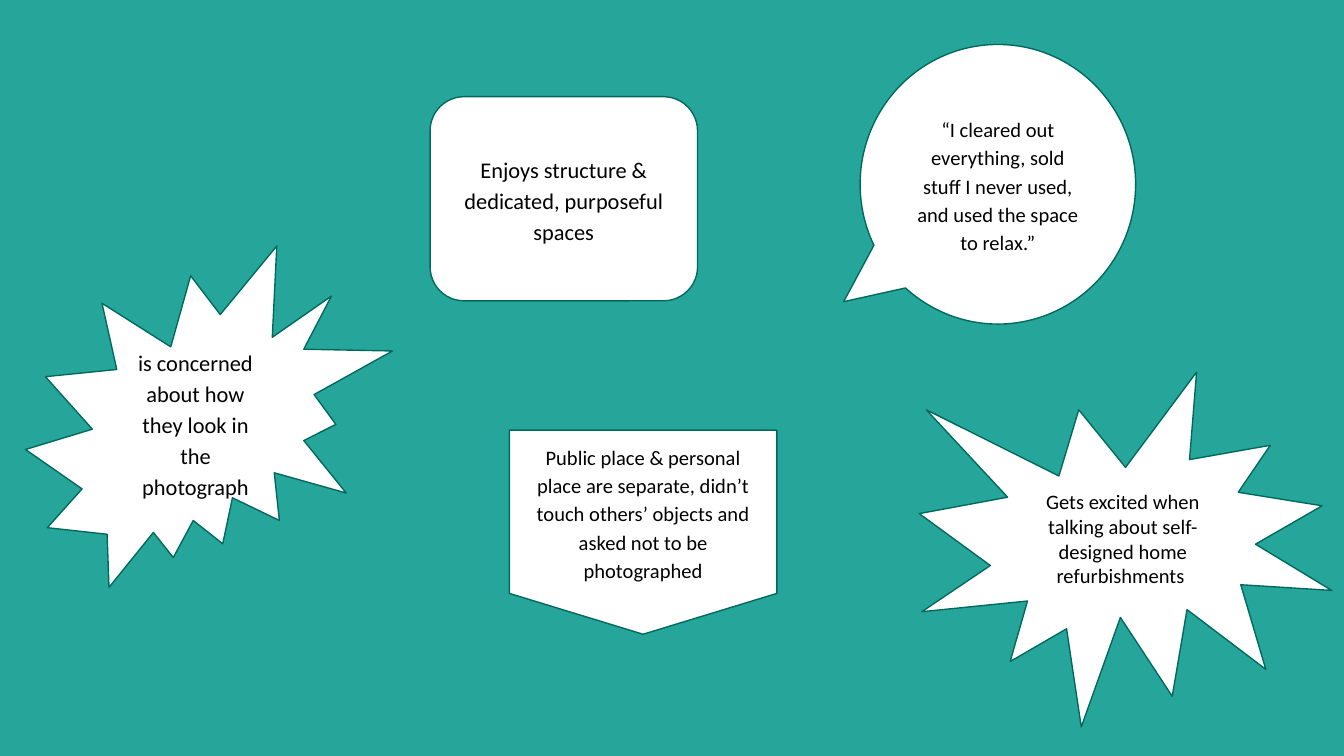
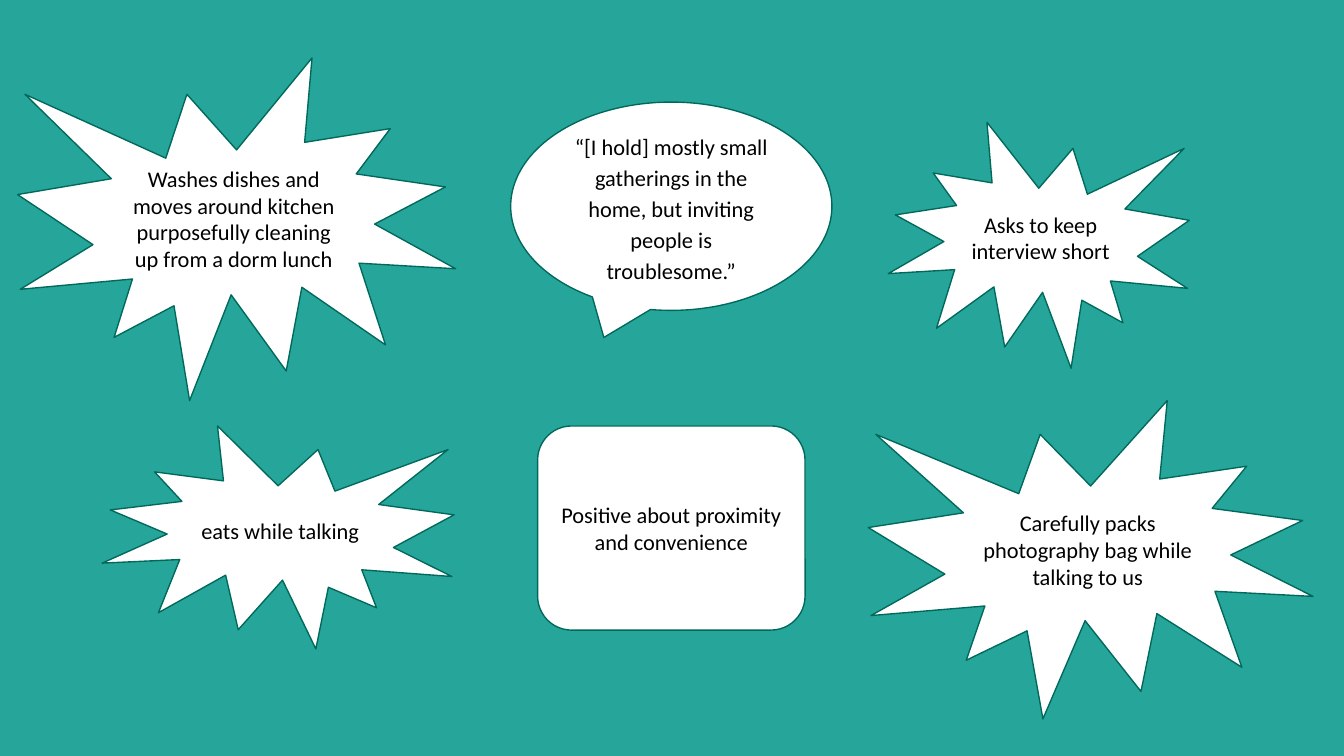
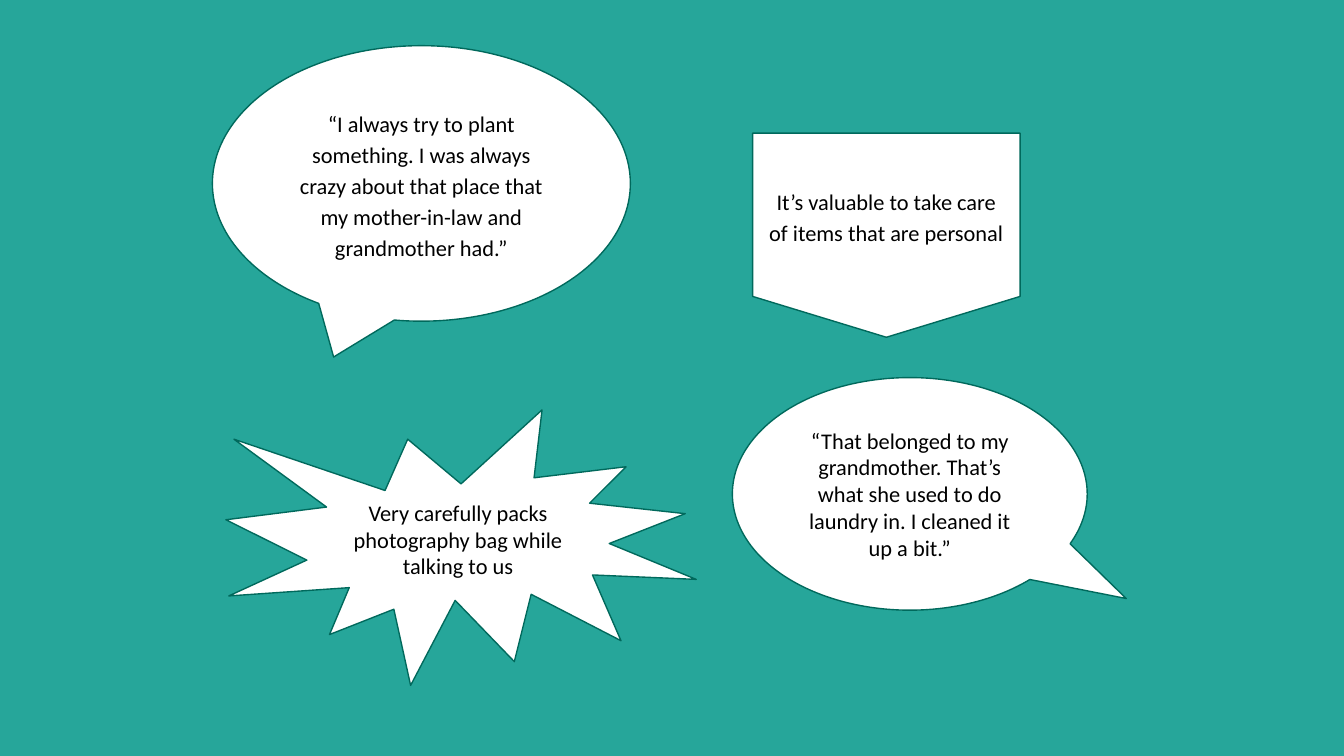
import pptx
import pptx.util
import pptx.dml.color
import pptx.enum.shapes
import pptx.enum.text

Pt = pptx.util.Pt
SHAPES = pptx.enum.shapes.MSO_SHAPE

COLORS = {"background": "26A69A", "note": "FFFFFF", "outline": "00695C", "text": "000000"}
FONT = "Calibri"
INSET = 7.2
CARD_SIZE = (143.3, 109.4)
LOOSE = 1.15


def color(name):
    return pptx.dml.color.RGBColor.from_string(COLORS[name])


def add_note(slide, kind, box, text, size=12, spacing=None):
    note = slide.shapes.add_shape(kind, *(Pt(length) for length in box))
    note.shadow.inherit = False
    note.fill.solid()
    note.fill.fore_color.rgb = color("note")
    note.line.color.rgb = color("outline")
    note.line.width = Pt(0.75)

    frame = note.text_frame
    frame.word_wrap = True
    frame.vertical_anchor = pptx.enum.text.MSO_ANCHOR.MIDDLE
    frame.margin_left = frame.margin_right = Pt(INSET)
    frame.margin_top = frame.margin_bottom = Pt(INSET)
    frame.text = text
    paragraph = frame.paragraphs[0]
    paragraph.alignment = pptx.enum.text.PP_ALIGN.CENTER
    if spacing:
        paragraph.line_spacing = spacing
    for run in paragraph.runs:
        run.font.name = FONT
        run.font.size = Pt(size)
        run.font.color.rgb = color("text")
    return note


def add_burst(slide, box, text, size=12, mirrored=False):
    burst = add_note(slide, SHAPES.EXPLOSION1, box, text, size)
    if mirrored:
        burst.element.spPr.xfrm.set("flipH", "1")


def add_quote(slide, box, tail, text, size=12, spacing=LOOSE):
    quote = add_note(slide, SHAPES.OVAL_CALLOUT, box, text, size, spacing)
    quote.adjustments[0], quote.adjustments[1] = tail


def add_card(slide, left, top, text, spacing=None):
    add_note(slide, SHAPES.ROUNDED_RECTANGLE, (left, top, *CARD_SIZE), text, spacing=spacing)


def add_insight(slide, left, top, text, size=12):
    add_note(slide, SHAPES.FLOWCHART_OFFPAGE_CONNECTOR, (left, top, *CARD_SIZE), text, size, LOOSE)


def build_structure_slide(slide):
    add_note(slide, SHAPES.EXPLOSION2, (13.7, 131.8, 196.6, 182.9),
             "is concerned about how they look in the photograph", spacing=LOOSE)
    add_card(slide, 230.4, 51.8, "Enjoys structure & dedicated, purposeful spaces", LOOSE)
    add_insight(slide, 272.9, 230.4,
                "Public place & personal place are separate, didn’t touch others’ "
                "objects and asked not to be photographed", 11)
    add_quote(slide, (460.8, 23.8, 147.6, 149.8), (-0.56, 0.42),
              "“I cleared out everything, sold stuff I never used, "
              "and used the space to relax.”", 11)
    add_burst(slide, (492.5, 199.4, 221, 190.1),
              "Gets excited when talking about self-designed home refurbishments ", 11)


def build_hosting_slide(slide):
    add_burst(slide, (9.4, 31, 234.7, 183.6),
              "Washes dishes and moves around kitchen purposefully "
              "cleaning up from a dorm lunch")
    add_burst(slide, (54.7, 228.2, 188.6, 119.5), "eats while talking", mirrored=True)
    add_burst(slide, (475.9, 65.5, 161.3, 131.8), "Asks to keep interview short", mirrored=True)
    add_burst(slide, (465.1, 214.6, 238.3, 170.6),
              "Carefully packs photography bag while talking to us")
    add_card(slide, 288, 228.2, "Positive about proximity and convenience")
    add_quote(slide, (273.6, 54.7, 172.1, 111.6), (-0.21, 0.63),
              "“[I hold] mostly small gatherings in the home, "
              "but inviting people is troublesome.”")


def build_heirloom_slide(slide):
    add_quote(slide, (113.8, 24.5, 223.9, 147.6), (-0.21, 0.63),
              "“I always try to plant something. I was always crazy about "
              "that place that my mother-in-law and grandmother had.”")
    add_quote(slide, (392.4, 202.3, 190.1, 124.6), (0.61, 0.45),
              "“That belonged to my grandmother. That’s what she used to do "
              "laundry in. I cleaned it up a bit.”", spacing=None)
    add_burst(slide, (121, 219.6, 252, 147.6),
              "Very carefully packs photography bag while talking to us")
    add_insight(slide, 403.2, 71.3, "It’s valuable to take care of items that are personal")


def main():
    deck = pptx.Presentation()
    deck.slide_width, deck.slide_height = Pt(720), Pt(405)
    backdrop = deck.slide_master.background.fill
    backdrop.solid()
    backdrop.fore_color.rgb = color("background")
    blank = deck.slide_layouts[6]
    for build in (build_structure_slide, build_hosting_slide, build_heirloom_slide):
        build(deck.slides.add_slide(blank))
    deck.save("out.pptx")


if __name__ == "__main__":
    main()
